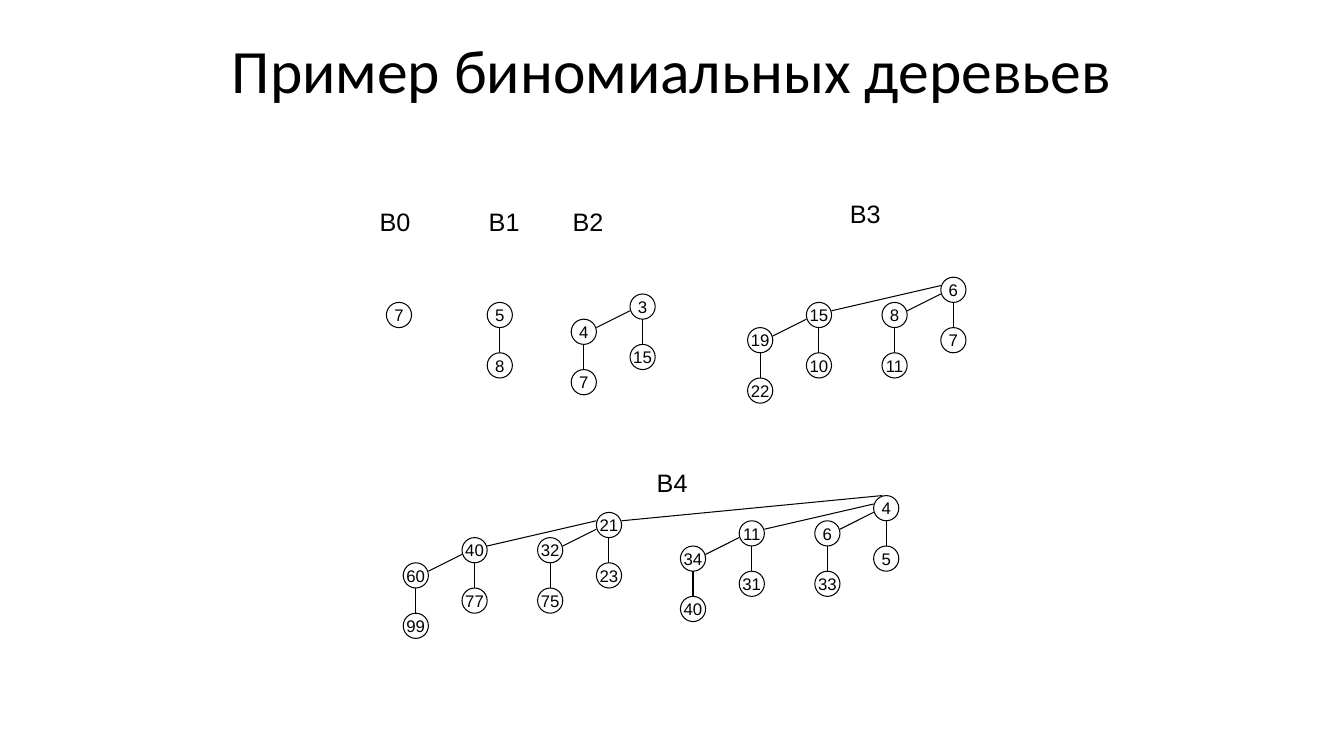
import pptx
import pptx.dml.color
import pptx.enum.shapes
import pptx.enum.text
import pptx.oxml
import pptx.oxml.ns
import pptx.util

COLS, ROWS = 160, 90
WIDTH, HEIGHT = pptx.util.Inches(13.333), pptx.util.Inches(7.5)
NODE, DROP = 3, 6
INK = "000000"

BRANCHES = [
    {"offset": (0, DROP), "child": (NODE / 2, 0), "root": (NODE / 2, NODE)},
    {"offset": (-7, 3), "child": (NODE, 1), "root": (0, 2)},
    {"offset": (-16, 3), "child": (NODE, 1), "root": (0, 1)},
    {"offset": (-33, 2), "child": (NODE, 1), "root": (1, 0)},
]

TREES = [
    ("B0", (44, 24, 9), (46, 36), [7]),
    ("B1", (57, 24, 8), (58, 36), [5, 8]),
    ("B2", (67, 24, 11), (75, 35), [3, 15, 4, 7]),
    ("B3", (100, 23, 11), (112, 33), [6, 7, 8, 11, 15, 10, 19, 22]),
    ("B4", (77, 55, 8), (104, 59),
     [4, 5, 6, 33, 11, 31, 34, 40, 21, 23, 32, 75, 40, 77, 60, 99]),
]

CENTER = pptx.enum.text.PP_ALIGN.CENTER
MIDDLE = pptx.enum.text.MSO_ANCHOR.MIDDLE
TITLE = {
    "frame": {"vertical_anchor": MIDDLE, "word_wrap": True},
    "paragraph": {"alignment": CENTER, "line_spacing": 0.9},
    "font": {"name": "Calibri", "size": pptx.util.Pt(44)},
}
LABEL = {
    "frame": {"word_wrap": True,
              "auto_size": pptx.enum.text.MSO_AUTO_SIZE.SHAPE_TO_FIT_TEXT},
    "paragraph": {"alignment": pptx.enum.text.PP_ALIGN.LEFT},
    "font": {"name": "Arial", "size": pptx.util.Pt(18)},
}
VALUE = {
    "frame": {"vertical_anchor": MIDDLE, "word_wrap": False,
              "margin_left": 0, "margin_right": 0,
              "margin_top": 0, "margin_bottom": 0},
    "paragraph": {"alignment": CENTER},
    "font": {"name": "Arial", "size": pptx.util.Pt(12)},
}


def grid(*lengths):
    units = (WIDTH / COLS, HEIGHT / ROWS)
    return [round(n * units[i % 2]) for i, n in enumerate(lengths)]


def paint(color, value):
    color.rgb = pptx.dml.color.RGBColor.from_string(value)


def set_all(target, values):
    for name, value in values.items():
        setattr(target, name, value)


def write(sp, text, style):
    tf = sp.text_frame
    set_all(tf, style["frame"])
    p = tf.paragraphs[0]
    set_all(p, style["paragraph"])
    r = p.add_run()
    r.text = text
    set_all(r.font, style["font"])
    paint(r.font.color, INK)


def outline(sp):
    paint(sp.line.color, INK)
    sp.line.width = pptx.util.Pt(0.75)


def add_title(s, text):
    sp = s.shapes.title
    left, top, width, height = grid(26, 3.6, 108, 10.4)
    set_all(sp, {"left": left, "top": top, "width": width, "height": height})
    write(sp, text, TITLE)


def add_label(s, text, x, y, width):
    write(s.shapes.add_textbox(*grid(x, y, width, 4.8)), text, LABEL)


def add_node(s, value, x, y):
    sp = s.shapes.add_shape(pptx.enum.shapes.MSO_SHAPE.OVAL, *grid(x, y, NODE, NODE))
    sp.shadow.inherit = False
    sp.fill.background()
    outline(sp)
    write(sp, str(value), VALUE)


def add_edge(s, x1, y1, x2, y2):
    sp = s.shapes.add_connector(
        pptx.enum.shapes.MSO_CONNECTOR.STRAIGHT, *grid(x1, y1, x2, y2))
    outline(sp)
    effects = pptx.oxml.parse_xml(
        "<a:effectLst %s/>" % pptx.oxml.ns.nsdecls("a"))
    sp._element.spPr.append(effects)


def add_tree(s, values, x, y):
    add_node(s, values[0], x, y)
    order = len(values).bit_length() - 1
    for i, branch in enumerate(BRANCHES[:order]):
        (dx, dy), (cx, cy), (rx, ry) = (branch[k] for k in ("offset", "child", "root"))
        add_tree(s, values[2 ** i:2 ** (i + 1)], x + dx, y + dy)
        add_edge(s, x + dx + cx, y + dy + cy, x + rx, y + ry)


def main():
    prs = pptx.Presentation()
    set_all(prs, {"slide_width": WIDTH, "slide_height": HEIGHT})
    s = prs.slides.add_slide(prs.slide_layouts[5])
    add_title(s, "Пример биномиальных деревьев")
    for name, label, root, values in TREES:
        add_label(s, name, *label)
        add_tree(s, values, *root)
    prs.save("out.pptx")


if __name__ == "__main__":
    main()
